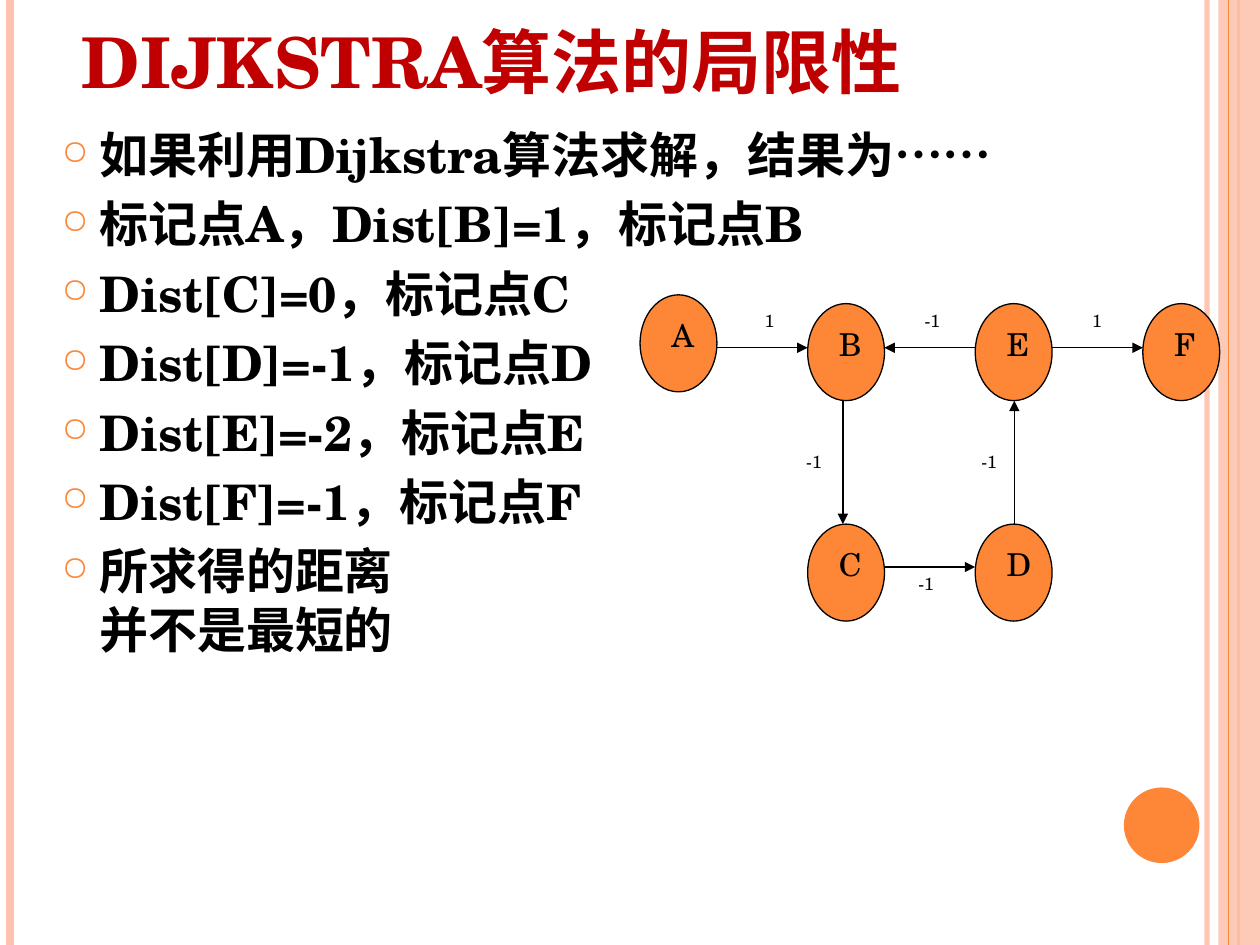
from pptx import Presentation
from pptx import util as u
from pptx.dml.color import RGBColor
from pptx.enum import shapes, text
from pptx.oxml.ns import qn
from lxml import etree

COLORS = {"orange": "FE8637", "peach": "FEC3AE", "red": "C00000", "black": "000000"}
FONT = "TeX Gyre Schola"
NODE_W, NODE_H = 0.61, 0.77


class Deck:
    def __init__(self, prs):
        self.s = prs.slides.add_slide(prs.slide_layouts[5])

    def rgb(self, color):
        return RGBColor.from_string(COLORS[color])

    def sub(self, parent, tag, **attrs):
        return etree.SubElement(parent, qn(tag), attrs)

    def box(self, *at):
        return [u.Inches(v) for v in at]

    def alpha(self, element, percent):
        clr = next(element.iter(qn("a:srgbClr")))
        self.sub(clr, "a:alpha", val=str(percent * 1000))

    def style(self, p, size, color="black", bold=False):
        for r in p.runs:
            f = r.font
            f.name, f.size, f.bold = FONT, u.Pt(size), bold
            f.color.rgb = self.rgb(color)

    def title(self, words, at):
        sp = self.s.shapes.title
        sp.left, sp.top, sp.width, sp.height = self.box(*at)
        tf = sp.text_frame
        tf.text = words
        tf.word_wrap = True
        tf.auto_size = text.MSO_AUTO_SIZE.NONE
        tf.vertical_anchor = text.MSO_ANCHOR.BOTTOM
        p = tf.paragraphs[0]
        p.alignment = text.PP_ALIGN.LEFT
        self.style(p, 40, "red", True)

    def label(self, words, size, at):
        tf = self.s.shapes.add_textbox(*self.box(*at)).text_frame
        tf.word_wrap = True
        tf.text = words
        self.style(tf.paragraphs[0], size)

    def bullets(self, items, at):
        tf = self.s.shapes.add_textbox(*self.box(*at)).text_frame
        tf.word_wrap = True
        for i, item in enumerate(items):
            p = tf.add_paragraph() if i else tf.paragraphs[0]
            p.text = item
            if i:
                p.space_before = u.Pt(6)
            pPr = p._p.get_or_add_pPr()
            pPr.set("marL", str(u.Inches(0.3)))
            pPr.set("indent", str(u.Inches(-0.3)))
            clr = self.sub(pPr, "a:buClr")
            self.sub(clr, "a:srgbClr", val=COLORS["orange"])
            self.sub(pPr, "a:buSzPct", val="70000")
            self.sub(pPr, "a:buChar", char="○")
            self.style(p, 28, bold=True)

    def shape(self, kind, at, fill, line=None, alpha=None):
        sp = self.s.shapes.add_shape(kind, *self.box(*at))
        sp.shadow.inherit = False
        sp.fill.solid()
        sp.fill.fore_color.rgb = self.rgb(fill)
        if alpha:
            self.alpha(sp._element.spPr, alpha)
        if line:
            sp.line.color.rgb = self.rgb(line)
            sp.line.width = u.Pt(0.75)
        else:
            sp.line.fill.background()

    def line(self, ends, color="black", width=0.75, arrow=False, alpha=None):
        c = self.s.shapes.add_connector(shapes.MSO_CONNECTOR.STRAIGHT, *self.box(*ends))
        c.line.color.rgb = self.rgb(color)
        c.line.width = u.Pt(width)
        ln = c.line._get_or_add_ln()
        if alpha:
            self.alpha(ln, alpha)
        if arrow:
            self.sub(ln, "a:tailEnd", type="triangle")
        self.sub(c._element.spPr, "a:effectLst")

    def node(self, name, x, y):
        self.shape(shapes.MSO_SHAPE.OVAL, (x, y, NODE_W, NODE_H), "orange", "black")
        self.label(name, 18, (x + 0.15, y + 0.12, 0.39, 0.4))


def main():
    prs = Presentation()
    prs.slide_width, prs.slide_height = u.Inches(10), u.Inches(7.5)
    d = Deck(prs)

    d.line((9.58, 0, 9.58, 7.5), "peach", 3, alpha=93)
    d.line((0.08, 0, 0.08, 7.5), "peach", 4.5)
    d.line((9.83, 0, 9.83, 7.5), "orange", 1.5)
    d.shape(shapes.MSO_SHAPE.RECTANGLE, (9.67, 0, 0.33, 7.5), "peach", alpha=87)
    d.line((9.75, 0, 9.75, 7.5), "orange")
    d.shape(shapes.MSO_SHAPE.OVAL, (8.92, 6.25, 0.6, 0.6), "orange")

    d.title("DIJKSTRA算法的局限性", (0.55, -0.39, 8.17, 1.25))
    d.bullets([
        "如果利用Dijkstra算法求解，结果为……",
        "标记点A，Dist[B]=1，标记点B",
        "Dist[C]=0，标记点C",
        "Dist[D]=-1，标记点D",
        "Dist[E]=-2，标记点E",
        "Dist[F]=-1，标记点F",
        "所求得的距离\v并不是最短的",
    ], (0.39, 0.94, 9, 5.47))

    cols = [5.08 + 1.33 * i for i in range(4)]
    top, bottom = 2.41, 4.16
    for name, col, y in [("A", 0, 2.34), ("B", 1, top), ("C", 1, bottom),
                         ("D", 2, bottom), ("E", 2, top), ("F", 3, top)]:
        d.node(name, cols[col], y)

    for start, end, y in [(0, 1, 2.76), (2, 1, 2.76), (2, 3, 2.76), (1, 2, 4.5)]:
        x1, x2 = cols[start], cols[end]
        if start < end:
            x1 += NODE_W
        else:
            x2 += NODE_W
        d.line((x1, y, x2, y), arrow=True)
    d.line((6.69, top + NODE_H, 6.69, bottom), arrow=True)
    d.line((8.05, bottom, 8.05, top + NODE_H), arrow=True)

    for weight, x, y in [("1", 5.97, top), ("1", 8.57, top), ("-1", 7.24, top),
                         ("-1", 6.3, 3.53), ("-1", 7.69, 3.53), ("-1", 7.19, 4.5)]:
        d.label(weight, 10, (x, y, 0.28 if weight == "1" else 0.39, 0.27))

    prs.save("out.pptx")


if __name__ == "__main__":
    main()
